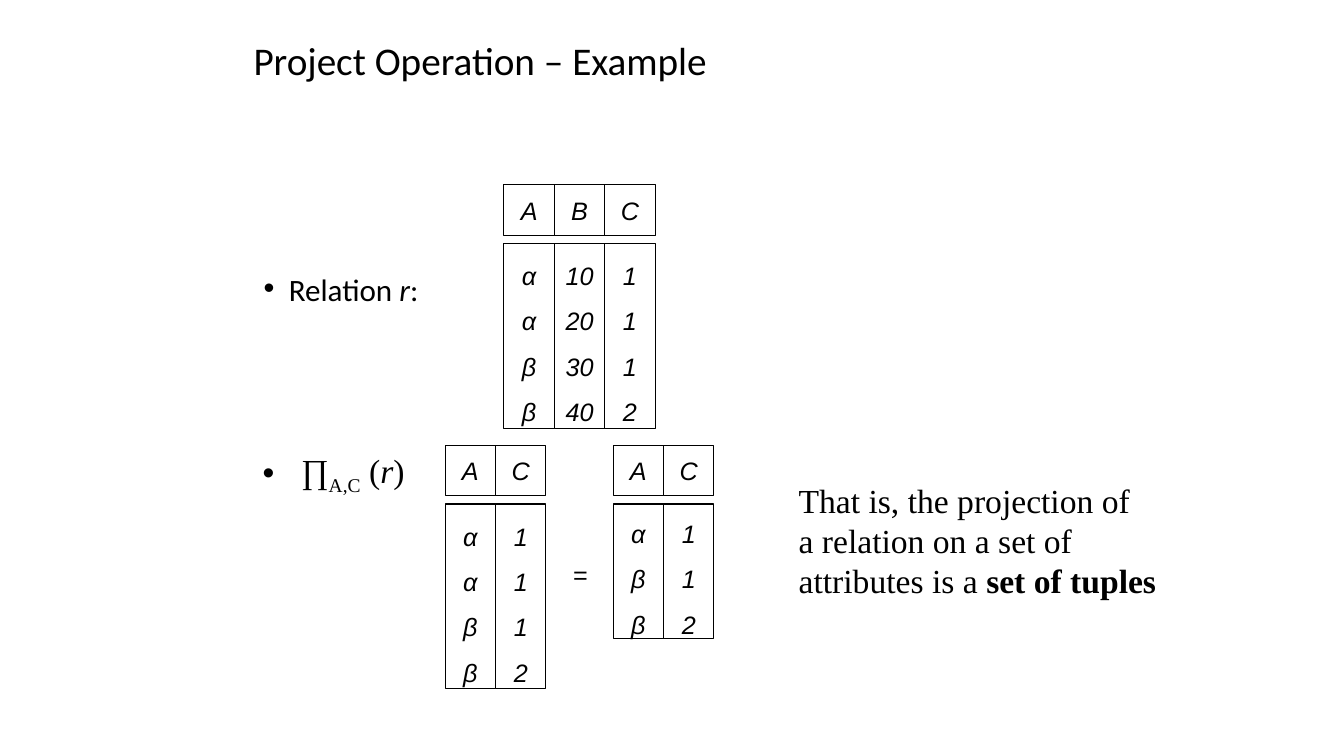
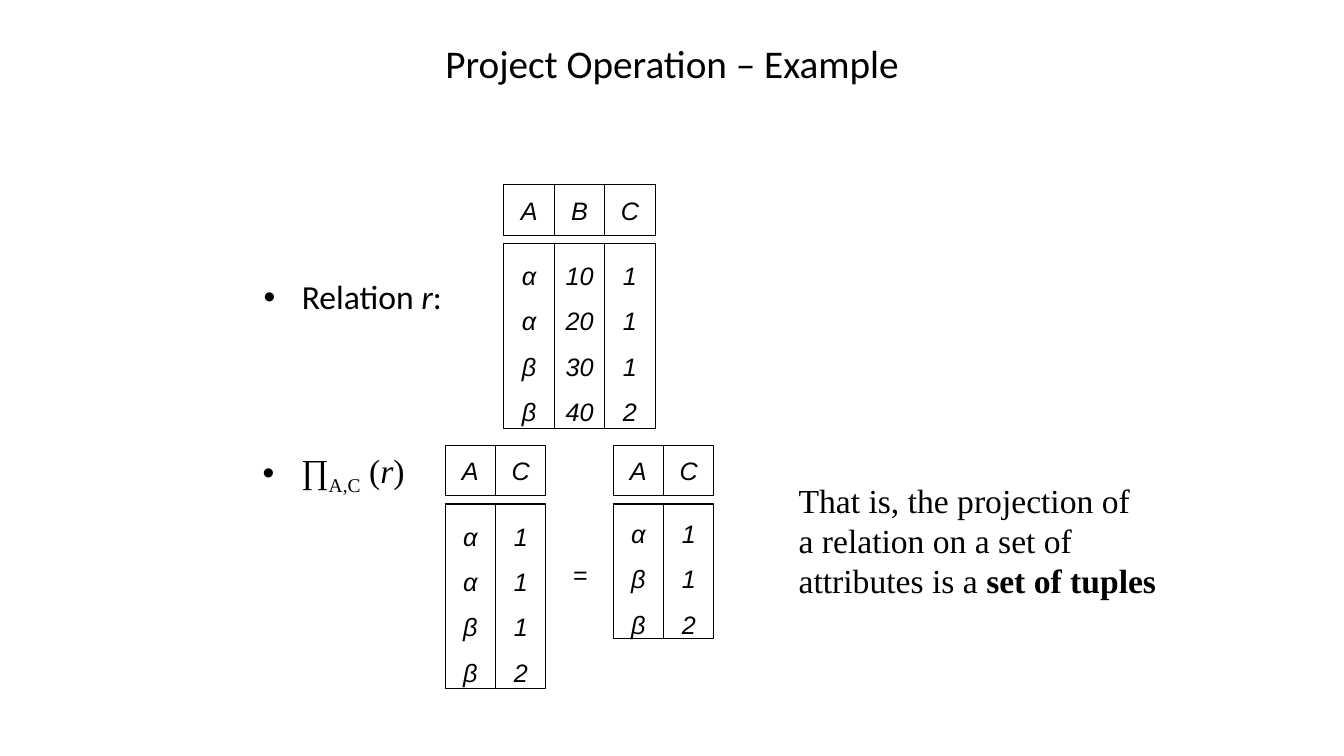
"""Build two slides on the relational project operation."""
import dataclasses
import typing

import lxml.etree
import pptx
import pptx.dml.color
import pptx.enum.shapes
import pptx.enum.text
import pptx.oxml.ns
import pptx.util

HUES = {"ink": "000000", "paper": "FFFFFF"}
WIDE, HIGH = 13.33, 7.5
COLS, ROWS = 160, 90
SIDE, GAP = 6, 1
ALIGN = pptx.enum.text.PP_ALIGN
MID = pptx.enum.text.MSO_ANCHOR.MIDDLE

Run = tuple[str, dict[str, typing.Any]]
Line = list[Run]
ITAL = {"italic": True}
BOLD = {"bold": True}
SUB = {"base": -25000}


@dataclasses.dataclass(frozen=True)
class Style:
    """Format of a block of text."""
    font: dict[str, typing.Any]
    para: dict[str, typing.Any] = dataclasses.field(default_factory=dict)
    frame: dict[str, typing.Any] = dataclasses.field(default_factory=dict)
    hang: float = 0


@dataclasses.dataclass(frozen=True)
class Block:
    """Text at a place on the grid."""
    col: float
    row: float
    cols: float
    rows: float
    lines: list[Line]
    style: Style


@dataclasses.dataclass(frozen=True)
class Rel:
    """Relation drawn as a head row above tall columns."""
    col: float
    row: float
    tall: float
    data: dict[str, str]


def face(name: str, size: float, **more: typing.Any) -> dict[str, typing.Any]:
    """Return the font values for a typeface."""
    return {"name": name, "size": pptx.util.Pt(size), **more}


def hue(key: str) -> pptx.dml.color.RGBColor:
    """Return a named colour."""
    return pptx.dml.color.RGBColor.from_string(HUES[key])


def put(goal: typing.Any, vals: dict[str, typing.Any]) -> None:
    """Set each value on an object."""
    for key, val in vals.items():
        setattr(goal, key, val)


def area(col: float, row: float, cols: float, rows: float) -> list[int]:
    """Turn grid units into slide lengths."""
    return [pptx.util.Inches(val) for val in (
        col * WIDE / COLS, row * HIGH / ROWS,
        cols * WIDE / COLS, rows * HIGH / ROWS)]


def dot(para: typing.Any, hang: float) -> None:
    """Give a paragraph a hanging bullet."""
    prop = para._p.get_or_add_pPr()
    size = pptx.util.Inches(hang)
    prop.set("marL", str(size))
    prop.set("indent", str(-size))
    for tag, key, val in (("a:buFont", "typeface", "Arial"),
                          ("a:buChar", "char", "•")):
        node = lxml.etree.SubElement(prop, pptx.oxml.ns.qn(tag))
        node.set(key, val)


def write(frame: typing.Any, lines: list[Line], style: Style) -> None:
    """Fill a text frame with styled lines."""
    put(frame, {"word_wrap": True, **style.frame})
    for num, line in enumerate(lines):
        para = frame.add_paragraph() if num else frame.paragraphs[0]
        put(para, style.para)
        if style.hang:
            dot(para, style.hang)
        for text, more in line:
            run = para.add_run()
            run.text = text
            vals = {**style.font, **more}
            base = vals.pop("base", 0)
            put(run.font, vals)
            run.font.color.rgb = hue("ink")
            if base:
                run._r.get_or_add_rPr().set("baseline", str(base))


def show(slide: typing.Any, block: Block) -> None:
    """Draw a block of text."""
    box = slide.shapes.add_textbox(
        *area(block.col, block.row, block.cols, block.rows))
    write(box.text_frame, block.lines, block.style)


def cell(slide: typing.Any, place: list[int], items: list[str],
         style: Style) -> None:
    """Draw an outlined box with one item a line."""
    box = slide.shapes.add_shape(
        pptx.enum.shapes.MSO_SHAPE.RECTANGLE, *place)
    box.shadow.inherit = False
    box.fill.solid()
    box.fill.fore_color.rgb = hue("paper")
    box.line.color.rgb = hue("ink")
    box.line.width = pptx.util.Pt(0.75)
    write(box.text_frame, [[(item, {})] for item in items], style)


def draw(slide: typing.Any, rel: Rel) -> None:
    """Draw a relation column by column."""
    for num, (name, vals) in enumerate(rel.data.items()):
        col = rel.col + num * SIDE
        cell(slide, area(col, rel.row, SIDE, SIDE), [name], HEAD)
        cell(slide, area(col, rel.row + SIDE + GAP, SIDE, rel.tall),
             vals.split(), BODY)


CENTER = {"alignment": ALIGN.CENTER}
LOOSE = {"vertical_anchor": MID, "word_wrap": False}
HEAD = Style(face("Arial", 18, italic=True), CENTER, LOOSE)
BODY = Style(HEAD.font, {**CENTER, "line_spacing": 1.5}, LOOSE)
SIGN = Style(face("Arial", 18), CENTER, LOOSE)
PROSE = Style(face("Times New Roman", 24), frame={"word_wrap": False})
POINT = Style(PROSE.font, hang=0.38)

TITLES = [
    Style(face("Calibri", 28), {"line_spacing": 0.9},
          {"vertical_anchor": MID}),
    Style(face("Calibri", 28), CENTER, {"vertical_anchor": MID}),
]
LABELS = [
    Style(face("Calibri", 22.2),
          {"line_spacing": 0.7, "space_before": pptx.util.Pt(10)}, hang=0.25),
    Style(face("Calibri", 24), {"line_spacing": 0.9}, hang=0.38),
]
RELS = [
    Rel(60, 22, 22, {"A": "α α β β", "B": "10 20 30 40", "C": "1 1 1 2"}),
    Rel(53, 53, 22, {"A": "α α β β", "C": "1 1 1 2"}),
    Rel(73, 53, 16, {"A": "α β β", "C": "1 1 2"}),
]
NOTES = [
    Block(67, 66, 4.2, 4.8, [[("=", {})]], SIGN),
    Block(30.1, 53, 92.3, 5.4, [[
        ("∏", {}), ("A,C", SUB), (" (", {}), ("r", ITAL), (")", {})]], POINT),
    Block(93.9, 56.5, 46.3, 15.7, [
        [("That is, the projection of", {})],
        [("a relation on a set of", {})],
        [("attributes is a ", {}), ("set of tuples", BOLD)]], PROSE),
]


def main() -> None:
    """Build and save the slides."""
    deck = pptx.Presentation()
    deck.slide_width = pptx.util.Inches(WIDE)
    deck.slide_height = pptx.util.Inches(HIGH)
    for title, label in zip(TITLES, LABELS):
        slide = deck.slides.add_slide(deck.slide_layouts[6])
        show(slide, Block(29, 0, 102, 15,
                          [[("Project Operation – Example", {})]], title))
        show(slide, Block(30.2, 32.8, 91.3, 4.6, [[
            ("Relation", {}), (" r", ITAL), (":", {})]], label))
        for rel in RELS:
            draw(slide, rel)
        for note in NOTES:
            show(slide, note)
    deck.save("out.pptx")


if __name__ == "__main__":
    main()
